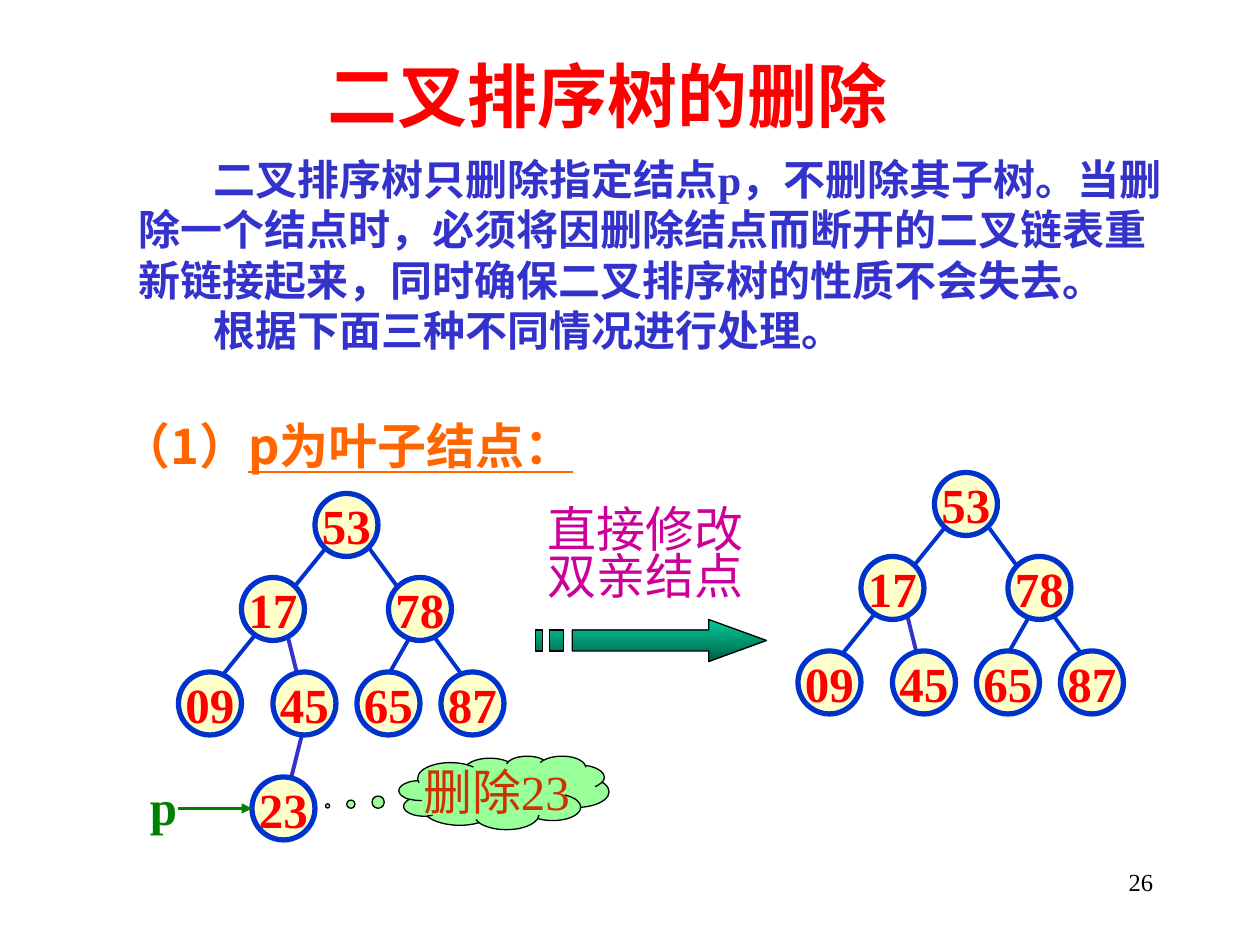
"""Build the slide on deleting a leaf node from a binary search tree."""
from typing import NamedTuple

from lxml.etree import SubElement
from pptx import Presentation
from pptx.dml.color import RGBColor
from pptx.enum.shapes import MSO_CONNECTOR, MSO_SHAPE
from pptx.enum.text import MSO_ANCHOR, MSO_AUTO_SIZE, PP_ALIGN
from pptx.oxml.ns import qn
from pptx.util import Pt

SERIF = "Times New Roman"
SANS = "Noto Sans CJK SC"
BLUE, VIOLET, GREEN, RED, BLACK = "0033CC", "3333CC", "008000", "FF0000", "000000"
NODE_SIZE = 36


class Style(NamedTuple):
    size: float
    color: str
    bold: bool = False
    latin: str = SERIF


class Node(NamedTuple):
    key: str
    x: float
    y: float


class Edge(NamedTuple):
    x1: float
    y1: float
    x2: float
    y2: float
    color: str = BLUE


class Label(NamedTuple):
    text: str
    box: tuple
    style: Style
    align: PP_ALIGN = PP_ALIGN.LEFT
    wrap: bool = True
    spacing: float = 1.0


NODES = [
    Node("53", 78, 0), Node("78", 120, 48), Node("65", 102, 102), Node("17", 36, 48),
    Node("87", 150, 102), Node("09", 0, 102), Node("45", 54, 102),
]
EDGES = [
    Edge(60, 72, 72, 120, VIOLET), Edge(90, 24, 12, 120),
    Edge(138, 72, 114, 114), Edge(108, 30, 174, 120),
]
DELETED_NODE = Node("23", 42, 162)
DELETED_EDGE = Edge(72, 132, 60, 180, VIOLET)
NODE_STYLE = Style(28, RED, True)
BODY_STYLE = Style(24, VIOLET, True)
HEADING_STYLE = Style(28, "FF6600", True, SANS)
LABELS = [
    Label("26", (516, 492, 150, 36), Style(14, BLACK), PP_ALIGN.RIGHT),
    Label("直接修改双亲结点", (306, 288, 139, 61), Style(28, "CC0099"), spacing=0.8),
    Label("p", (78.5, 440, 29.5, 41), Style(28, GREEN, True), wrap=False),
]
BODY = [
    "二叉排序树只删除指定结点p，不删除其子树。当删除一个结点时，"
    "必须将因删除结点而断开的二叉链表重新链接起来，同时确保二叉排序树的性质不会失去。",
    "根据下面三种不同情况进行处理。",
]
ARROW_PARTS = [
    [(405, 354), (405, 360), (327, 360), (327, 372), (405, 372), (405, 378), (438, 366)],
    [(314, 360), (314, 372), (322.5, 372), (322.5, 360)],
    [(306, 360), (306, 372), (310.5, 372), (310.5, 360)],
]


def rgb(value: str) -> RGBColor:
    return RGBColor.from_string(value)


def add_run(paragraph, text: str, style: Style, underline: bool = False) -> None:
    run = paragraph.add_run()
    run.text = text
    font = run.font
    font.size, font.bold, font.name = Pt(style.size), style.bold, style.latin
    font.color.rgb = rgb(style.color)
    if underline:
        font.underline = True
    SubElement(font._element, qn("a:ea")).set("typeface", SANS)


def place(shape, left: float, top: float, width: float, height: float) -> None:
    shape.left, shape.top, shape.width, shape.height = map(Pt, (left, top, width, height))


def add_frame(slide, box: tuple, wrap: bool = True):
    frame = slide.shapes.add_textbox(*map(Pt, box)).text_frame
    frame.word_wrap = wrap
    return frame


def add_label(slide, label: Label) -> None:
    paragraph = add_frame(slide, label.box, label.wrap).paragraphs[0]
    paragraph.alignment, paragraph.line_spacing = label.align, label.spacing
    add_run(paragraph, label.text, label.style)


def add_filled(slide, preset: MSO_SHAPE, box: tuple, fill: str, line: str,
               weight: float, text: str, style: Style):
    shape = slide.shapes.add_shape(preset, *map(Pt, box))
    shape.shadow.inherit = False
    shape.fill.solid()
    shape.fill.fore_color.rgb = rgb(fill)
    shape.line.color.rgb = rgb(line)
    shape.line.width = Pt(weight)
    frame = shape.text_frame
    frame.word_wrap, frame.vertical_anchor = False, MSO_ANCHOR.MIDDLE
    frame.paragraphs[0].alignment = PP_ALIGN.CENTER
    add_run(frame.paragraphs[0], text, style)
    return shape


def add_line(slide, edge: Edge, weight: float = 2.25, left: float = 0, top: float = 0):
    ends = (left + edge.x1, top + edge.y1, left + edge.x2, top + edge.y2)
    line = slide.shapes.add_connector(MSO_CONNECTOR.STRAIGHT, *map(Pt, ends))
    line.line.color.rgb = rgb(edge.color)
    line.line.width = Pt(weight)
    SubElement(line._element.spPr, qn("a:effectLst"))
    return line


def add_tree(slide, left: float, top: float, nodes: list, edges: list) -> None:
    for edge in edges:
        add_line(slide, edge, left=left, top=top)
    for node in nodes:
        box = (left + node.x, top + node.y, NODE_SIZE, NODE_SIZE)
        add_filled(slide, MSO_SHAPE.OVAL, box, "FFFFCC", BLUE, 3, node.key, NODE_STYLE)


def add_block_arrow(slide) -> None:
    first, *others = ARROW_PARTS
    builder = slide.shapes.build_freeform(*first[0], scale=Pt(1))
    builder.add_line_segments(first[1:], close=True)
    for part in others:
        builder.move_to(*part[0])
        builder.add_line_segments(part[1:], close=True)
    arrow = builder.convert_to_shape()
    arrow.shadow.inherit = False
    arrow.fill.gradient()
    arrow.fill.gradient_angle = 270
    for stop, color in zip(arrow.fill.gradient_stops, ("00CC99", "005E47")):
        stop.color.rgb = rgb(color)
    arrow.line.color.rgb = rgb(BLACK)
    arrow.line.width = Pt(0.75)


def fill_title(title) -> None:
    place(title, 180, 30, 354, 48)
    frame = title.text_frame
    frame.auto_size, frame.vertical_anchor = MSO_AUTO_SIZE.NONE, MSO_ANCHOR.MIDDLE
    frame.paragraphs[0].alignment = PP_ALIGN.LEFT
    add_run(frame.paragraphs[0], "二叉排序树的删除", Style(40, RED, True))


def fill_body(body) -> None:
    place(body, 72, 84, 612, 122.5)
    frame = body.text_frame
    frame.auto_size, frame.vertical_anchor = MSO_AUTO_SIZE.NONE, MSO_ANCHOR.TOP
    for index, text in enumerate(BODY):
        paragraph = frame.add_paragraph() if index else frame.paragraphs[0]
        properties = paragraph._p.get_or_add_pPr()
        properties.set("marL", "0")
        properties.set("indent", str(Pt(43)))
        SubElement(properties, qn("a:buNone"))
        paragraph.space_before = Pt(0)
        add_run(paragraph, text, BODY_STYLE)


def main() -> None:
    deck = Presentation()
    deck.slide_width, deck.slide_height = Pt(720), Pt(540)
    slide = deck.slides.add_slide(deck.slide_layouts[1])
    fill_title(slide.shapes.title)
    fill_body(slide.placeholders[1])

    heading = add_frame(slide, (62.5, 234, 298, 41)).paragraphs[0]
    add_run(heading, "（1）", HEADING_STYLE)
    add_run(heading, "p为叶子结点：", HEADING_STYLE, underline=True)

    add_tree(slide, 102, 282, NODES + [DELETED_NODE], [DELETED_EDGE] + EDGES)
    cloud = add_filled(slide, MSO_SHAPE.CLOUD_CALLOUT, (228, 432, 120, 42), "99FF99",
                       BLACK, 0.75, "删除23", Style(28, "CC3300"))
    cloud.adjustments[0], cloud.adjustments[1] = -0.84, 0.18
    add_block_arrow(slide)
    add_tree(slide, 456, 270, NODES, EDGES)
    pointer = add_line(slide, Edge(102, 462, 144, 462, GREEN), 1.5)
    SubElement(pointer.line._get_or_add_ln(), qn("a:tailEnd")).set("type", "triangle")
    for label in LABELS:
        add_label(slide, label)
    deck.save("out.pptx")


if __name__ == "__main__":
    main()
